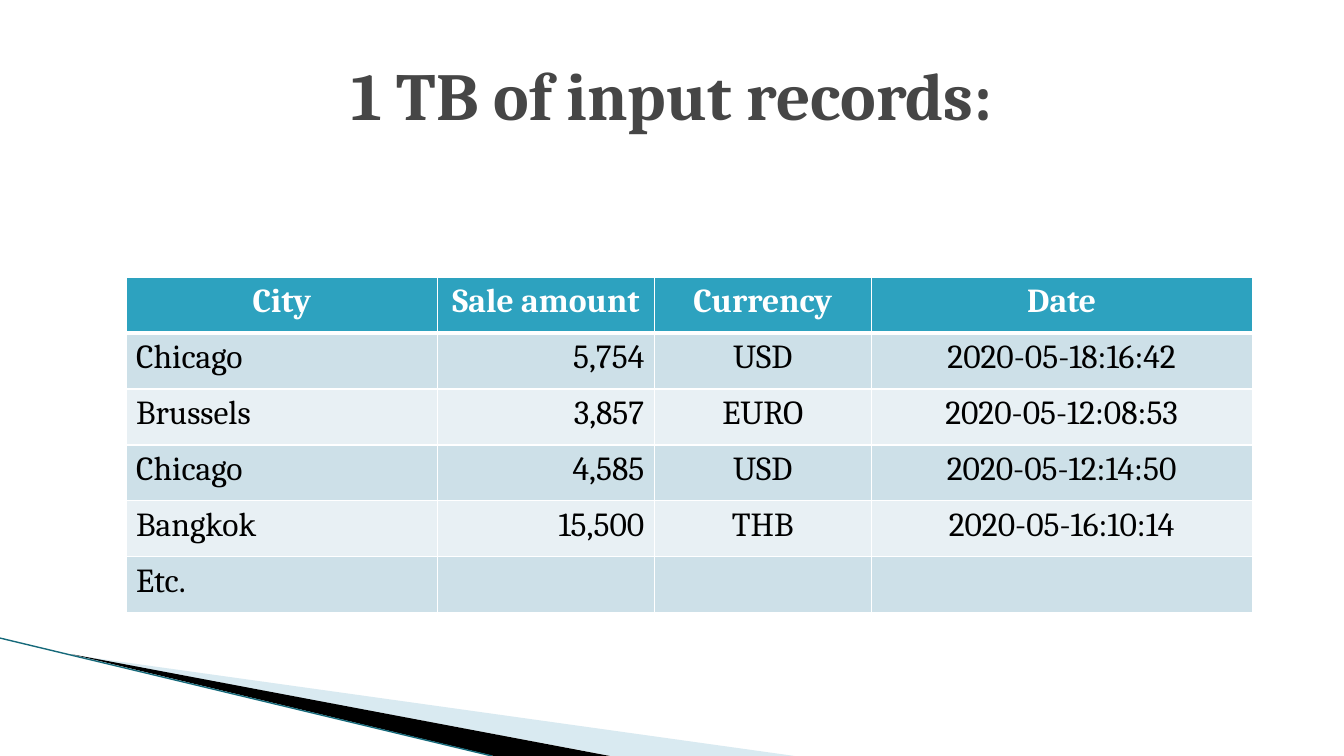
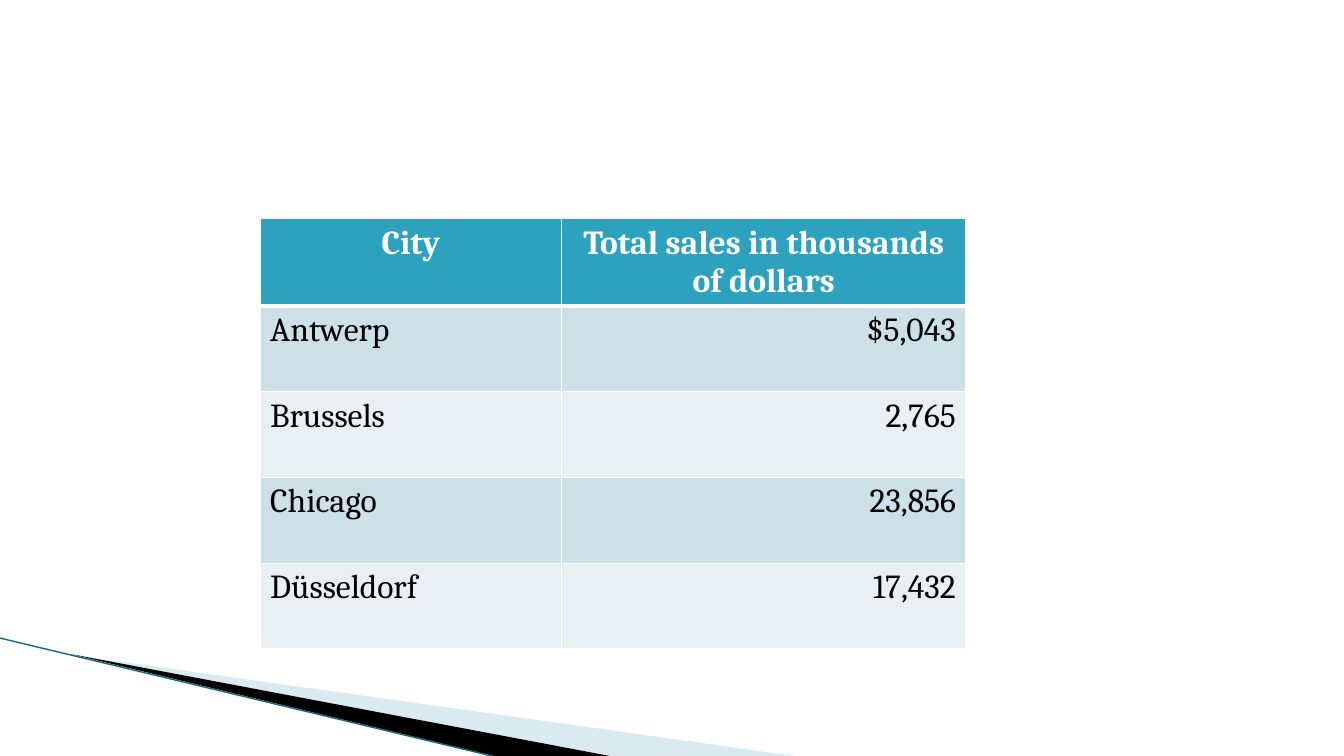
from dataclasses import dataclass

from lxml import etree
from pptx import Presentation
from pptx.dml.color import RGBColor
from pptx.enum.shapes import MSO_CONNECTOR
from pptx.enum.text import MSO_ANCHOR, PP_ALIGN
from pptx.oxml.ns import qn
from pptx.util import Inches, Pt

LEFT, CENTER, RIGHT = PP_ALIGN.LEFT, PP_ALIGN.CENTER, PP_ALIGN.RIGHT
MIDDLE = MSO_ANCHOR.MIDDLE
STRAIGHT = MSO_CONNECTOR.STRAIGHT
TITLE_ONLY, BLANK = 5, 6


@dataclass(frozen=True)
class Theme:
    """Colours, type and sizes that the slides share."""
    width: float = 13.33
    height: float = 7.5
    font: str = "Cambria"
    title_size: int = 48
    table_size: int = 24
    title: str = "464646"
    header: str = "2DA2BF"
    bands: tuple = ("CDE0E8", "E8F0F4")
    white: str = "FFFFFF"
    black: str = "000000"
    sweep: str = "A0CBDC"
    edge: str = "16697A"
    thin: float = 1
    thick: float = 3


T = Theme()


def format_text(tf, size, color, bold, align):
    """Give every paragraph and run of a text frame one format."""
    values = {"name": T.font, "size": Pt(size), "bold": bold}
    for p in tf.paragraphs:
        p.alignment = align
        for r in p.runs:
            for name, value in values.items():
                setattr(r.font, name, value)
            r.font.color.rgb = RGBColor.from_string(color)


def add_sweep(s, points, color, opacity=100):
    """Draw a filled outline through points given in inches."""
    corners = [(Inches(x), Inches(y)) for x, y in points]
    builder = s.shapes.build_freeform(*corners[0], scale=1.0)
    builder.add_line_segments(corners[1:], close=True)
    sp = builder.convert_to_shape()
    sp.shadow.inherit = False
    sp.fill.solid()
    sp.fill.fore_color.rgb = RGBColor.from_string(color)
    sp.line.fill.background()
    if opacity < 100:
        fill = sp.element.spPr.find(qn("a:solidFill"))
        etree.SubElement(fill[0], qn("a:alpha"), val=str(opacity * 1000))


def add_corner(s):
    """Draw the sweeps and the edge line in the lower left corner."""
    bottom = T.height
    add_sweep(s, [(0.73, 6.5), (7.88, bottom), (6.06, bottom)], T.sweep, 40)
    add_sweep(s, [(0.71, 6.49), (6.05, bottom), (4.9, bottom)], T.black)
    line = s.shapes.add_connector(
        STRAIGHT, 0, Inches(6.33), Inches(4.88), Inches(bottom))
    line.line.color.rgb = RGBColor.from_string(T.edge)
    line.line.width = Pt(T.thin)
    etree.SubElement(line.element.spPr, qn("a:effectLst"))


def add_title(s, text):
    """Place and format the title placeholder."""
    sp = s.shapes.title
    box = {"left": 0.05 * T.width, "top": 0.04 * T.height,
           "width": 0.9 * T.width, "height": T.height / 6}
    for name, value in box.items():
        setattr(sp, name, Inches(value))
    tf = sp.text_frame
    tf.text = text
    tf.vertical_anchor = MIDDLE
    format_text(tf, T.title_size, T.title, True, CENTER)


def set_borders(cell, top, bottom):
    """Draw white borders, with the top and bottom widths in points."""
    tc_pr = cell._tc.get_or_add_tcPr()
    widths = {"lnL": T.thin, "lnR": T.thin, "lnT": top, "lnB": bottom}
    for i, (tag, width) in enumerate(widths.items()):
        ln = etree.Element(qn("a:" + tag), w=str(Pt(width)))
        fill = etree.SubElement(ln, qn("a:solidFill"))
        etree.SubElement(fill, qn("a:srgbClr"), val=T.white)
        tc_pr.insert(i, ln)


def format_cell(cell, text, row, align):
    """Fill one cell in the header style or in its row's band."""
    is_header = row == 0
    cell.text = text
    cell.fill.solid()
    cell.fill.fore_color.rgb = RGBColor.from_string(
        T.header if is_header else T.bands[(row - 1) % 2])
    format_text(cell.text_frame, T.table_size,
                T.white if is_header else T.black,
                is_header, CENTER if is_header else align)
    set_borders(cell, T.thick if row == 1 else T.thin,
                T.thick if is_header else T.thin)


def add_data_table(s, left, top, row_height, widths, aligns, rows):
    """Add a table with a header row and banded body rows."""
    table = s.shapes.add_table(
        len(rows), len(widths), Inches(left), Inches(top),
        Inches(sum(widths)), Inches(row_height * len(rows))).table
    for column, width in zip(table.columns, widths):
        column.width = Inches(width)
    for i, row in enumerate(rows):
        for j, text in enumerate(row):
            format_cell(table.cell(i, j), text, i, aligns[j])


def add_slide(prs, layout):
    """Add a slide with the shared corner decoration."""
    s = prs.slides.add_slide(prs.slide_layouts[layout])
    add_corner(s)
    return s


def main():
    """Build both slides and save them."""
    prs = Presentation()
    prs.slide_width, prs.slide_height = Inches(T.width), Inches(T.height)

    s = add_slide(prs, TITLE_ONLY)
    add_title(s, "1 TB of input records:")
    add_data_table(
        s, 1.25, 2.75, 0.555, (3.09, 2.15, 2.15, 3.78),
        (LEFT, RIGHT, CENTER, CENTER),
        [("City", "Sale amount", "Currency", "Date"),
         ("Chicago", "5,754", "USD", "2020-05-18:16:42"),
         ("Brussels", "3,857", "EURO", "2020-05-12:08:53"),
         ("Chicago", "4,585", "USD", "2020-05-12:14:50"),
         ("Bangkok", "15,500", "THB", "2020-05-16:10:14"),
         ("Etc.", "", "", "")])

    s = add_slide(prs, BLANK)
    add_data_table(
        s, 2.58, 2.17, 0.85, (2.99, 4.01), (LEFT, RIGHT),
        [("City", "Total sales in thousands\nof dollars"),
         ("Antwerp", "$5,043"),
         ("Brussels", "2,765"),
         ("Chicago", "23,856"),
         ("Düsseldorf", "17,432")])

    prs.save("out.pptx")


if __name__ == "__main__":
    main()
